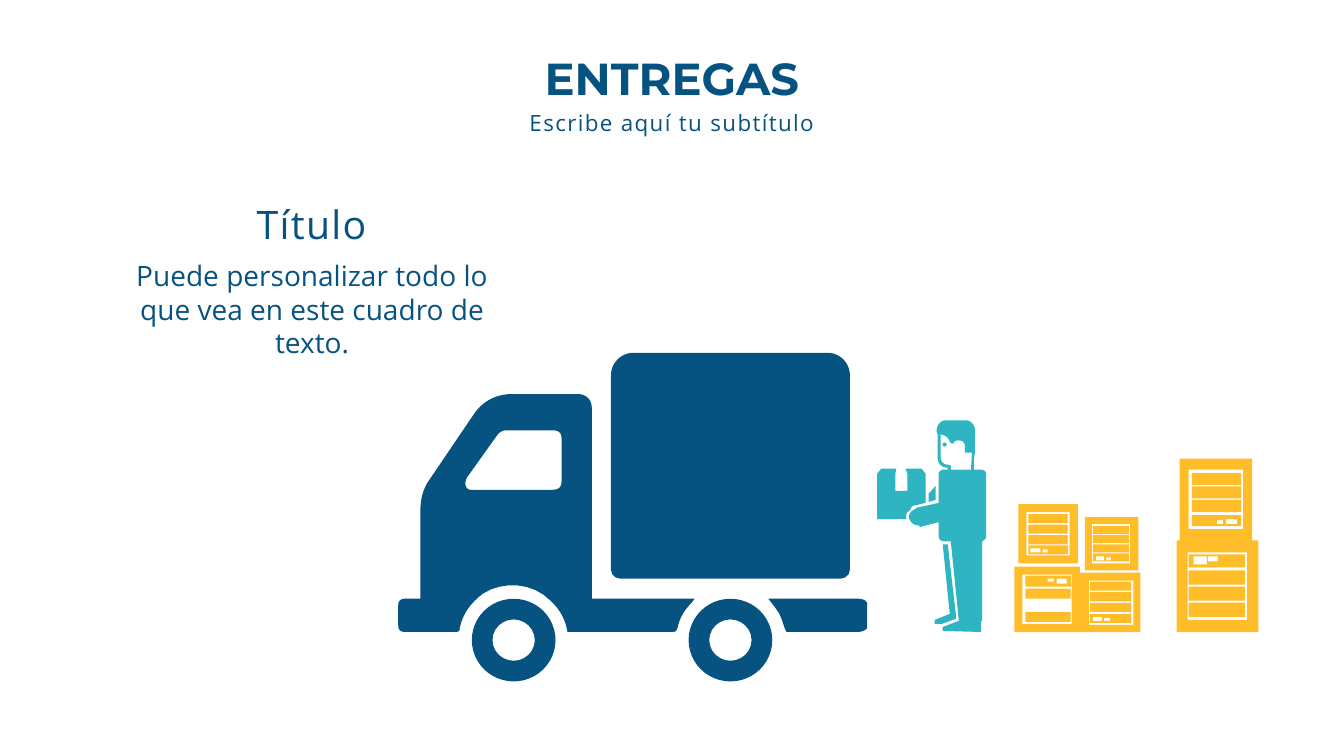
import pptx
import pptx.util
import pptx.dml.color
import pptx.enum.shapes
import pptx.enum.text

Inches = pptx.util.Inches
Preset = pptx.enum.shapes.MSO_SHAPE
Anchor = pptx.enum.text.MSO_ANCHOR
AutoSize = pptx.enum.text.MSO_AUTO_SIZE

COLORS = {"navy": "065280", "teal": "2EB5C1", "amber": "FFBD29"}


def box(left, top, right, bottom):
    """Corners of a rectangular contour."""
    return [(left, top), (right, top), (right, bottom), (left, bottom)]


def curve(text, pieces=8):
    """Contour from steps split by ';': one point is a line, three a Bézier curve."""
    points = []
    for step in text.split(";"):
        step = [tuple(map(float, pair.split(","))) for pair in step.split()]
        if len(step) == 1:
            points += step
            continue
        bezier = [points[-1]] + step
        for index in range(1, pieces + 1):
            t = index / pieces
            weights = ((1 - t) ** 3, 3 * t * (1 - t) ** 2, 3 * t ** 2 * (1 - t), t ** 3)
            points.append(tuple(sum(w * p[axis] for w, p in zip(weights, bezier))
                                for axis in (0, 1)))
    return points


class DeliverySlide:
    def __init__(self, presentation):
        self.slide = presentation.slides.add_slide(presentation.slide_layouts[5])
        self.shapes = self.slide.shapes

    def start_group(self, color):
        self.shapes = self.slide.shapes.add_group_shape().shapes
        self.color = color

    def paint(self, shape):
        shape.shadow.inherit = False
        shape.fill.solid()
        shape.fill.fore_color.rgb = pptx.dml.color.RGBColor.from_string(COLORS[self.color])
        shape.line.fill.background()

    def preset(self, kind, left, top, width, height, adjustments=()):
        shape = self.shapes.add_shape(kind, Inches(left), Inches(top),
                                      Inches(width), Inches(height))
        for index, value in enumerate(adjustments):
            shape.adjustments[index] = value
        self.paint(shape)

    def outline(self, *contours):
        """Filled outline; every contour after the first cuts a hole."""
        contours = [[(Inches(x), Inches(y)) for x, y in contour] for contour in contours]
        builder = self.shapes.build_freeform(*contours[0][0], scale=1.0)
        for index, contour in enumerate(contours):
            if index:
                builder.move_to(*contour[0])
            builder.add_line_segments(contour[1:], close=True)
        self.paint(builder.convert_to_shape())

    def slats(self, left, first, last, width, height, count):
        step = (last - first) / (count - 1)
        for index in range(count):
            self.preset(Preset.RECTANGLE, left, first + index * step, width, height)

    def set_text(self, shape, text, size, font="Open Sans", bold=False, spacing=0):
        frame = shape.text_frame
        frame.word_wrap = True
        frame.text = text
        paragraph = frame.paragraphs[0]
        paragraph.alignment = pptx.enum.text.PP_ALIGN.CENTER
        run = paragraph.runs[0]
        run.font.name, run.font.size, run.font.bold = font, pptx.util.Pt(size), bold
        run.font.color.rgb = pptx.dml.color.RGBColor.from_string(COLORS["navy"])
        if spacing:
            run._r.get_or_add_rPr().set("spc", str(spacing * 100))
        return frame

    def title(self, text, left, top, width, height):
        shape = self.slide.shapes.title
        shape.left, shape.top = Inches(left), Inches(top)
        shape.width, shape.height = Inches(width), Inches(height)
        frame = self.set_text(shape, text, 32, "Montserrat", bold=True)
        frame.auto_size = AutoSize.NONE
        frame.vertical_anchor = Anchor.TOP
        frame.margin_left = frame.margin_right = frame.margin_top = frame.margin_bottom = 0

    def label(self, text, left, top, width, height, size, spacing=0):
        shape = self.slide.shapes.add_textbox(Inches(left), Inches(top),
                                              Inches(width), Inches(height))
        frame = self.set_text(shape, text, size, spacing=spacing)
        frame.auto_size = AutoSize.SHAPE_TO_FIT_TEXT
        frame.vertical_anchor = Anchor.MIDDLE


def draw_truck(page):
    page.start_group("navy")
    # Rear bed and cargo box
    page.outline(curve(
        "8.6,5.98; 8.58,5.95 8.55,5.94 8.51,5.94; 7.62,5.94; 7.66,5.99 7.7,6.04 7.73,6.09;"
        "7.76,6.15 7.77,6.21 7.8,6.27; 8.5,6.27; 8.54,6.27 8.58,6.26 8.6,6.23"))
    page.preset(Preset.ROUND_2_SAME_RECTANGLE, 6.06, 3.5, 2.37, 2.24, (0.1, 0.04))
    # Cab with its window
    cab = curve(
        "4.17,5.94; 4.03,5.94; 3.97,5.94 3.95,5.96 3.95,6.01; 3.95,6.2;"
        "3.95,6.25 3.97,6.27 4.02,6.27; 4.52,6.27; 4.56,6.27 4.56,6.25 4.56,6.23;"
        "4.59,6.09 4.67,5.98 4.79,5.89; 4.99,5.76 5.29,5.78 5.46,5.96;"
        "5.54,6.03 5.6,6.13 5.62,6.23; 5.63,6.27; 6.67,6.27; 6.7,6.27 6.71,6.26 6.72,6.23;"
        "6.74,6.13 6.79,6.05 6.86,5.98; 6.89,5.94; 5.87,5.94; 5.87,4.05;"
        "5.87,3.96 5.81,3.91 5.73,3.91; 5.05,3.91; 4.9,3.92 4.78,3.99 4.7,4.11; 4.26,4.76;"
        "4.2,4.84 4.17,4.95 4.17,5.06")
    window = curve(
        "5.08,4.86; 4.69,4.86; 4.66,4.86 4.63,4.86 4.62,4.82; 4.61,4.8 4.62,4.76 4.63,4.74;"
        "4.93,4.32; 4.95,4.29 4.98,4.27 5.02,4.27; 5.48,4.27; 5.54,4.27 5.57,4.29 5.57,4.35;"
        "5.57,4.77; 5.57,4.84 5.54,4.86 5.47,4.86")
    page.outline(cab, window)
    # Wheels
    for left in (6.83, 4.68):
        page.preset(Preset.DONUT, left, 5.94, 0.83, 0.82, (0.25,))


def draw_courier(page):
    page.start_group("teal")
    # Far leg and far arm
    page.outline(curve("9.48,6.09; 9.4,5.4; 9.35,5.4; 9.42,6.09; 9.27,6.15; 9.27,6.19;"
                       "9.34,6.19; 9.48,6.14"))
    page.outline(curve("9.28,4.82; 9.22,4.89; 9.21,4.89; 9.21,4.98; 9.28,4.96"))
    # Body with the face cut out
    body = curve(
        "9.78,4.7; 9.78,5.32; 9.78,5.35 9.76,5.36 9.74,5.37; 9.74,6.16; 9.73,6.16; 9.73,6.27;"
        "9.35,6.26; 9.35,6.22; 9.51,6.16; 9.43,5.37; 9.36,5.37; 9.33,5.37 9.31,5.35 9.31,5.32;"
        "9.31,5.18; 9.12,5.23; 9.12,5.21; 9.09,5.22 9.05,5.2 9.03,5.17;"
        "9,5.13 9.02,5.08 9.06,5.06; 9.06,5.06 9.07,5.05 9.09,5.05; 9.08,5.04; 9.31,4.99;"
        "9.31,4.7; 9.31,4.68 9.33,4.66 9.36,4.66; 9.4,4.66; 9.4,4.64;"
        "9.34,4.64 9.3,4.6 9.3,4.54; 9.3,4.31; 9.29,4.29 9.29,4.28 9.29,4.27;"
        "9.29,4.22 9.33,4.17 9.38,4.17; 9.58,4.17; 9.63,4.17 9.67,4.22 9.67,4.27; 9.67,4.49;"
        "9.66,4.54; 9.66,4.66; 9.73,4.66; 9.76,4.66 9.78,4.68 9.78,4.7")
    face = curve(
        "9.43,4.62; 9.43,4.66; 9.61,4.66; 9.62,4.66 9.63,4.66 9.63,4.67; 9.64,4.49; 9.57,4.49;"
        "9.57,4.43; 9.57,4.39 9.55,4.37 9.51,4.37; 9.49,4.37 9.46,4.37 9.46,4.4; 9.43,4.4;"
        "9.41,4.36; 9.4,4.34 9.38,4.32 9.33,4.31; 9.33,4.54; 9.33,4.58 9.36,4.61 9.4,4.61")
    page.outline(body, face)
    # Carried parcel and eye
    page.outline(curve(
        "9,5.08; 9.02,5.07 9.03,5.06 9.04,5.03; 9.05,5.03; 9.05,5.02; 9.18,4.99; 9.18,4.7;"
        "9.14,4.65; 8.98,4.65; 9,4.7; 9,4.87; 8.88,4.87; 8.88,4.7; 8.89,4.65; 8.74,4.65;"
        "8.7,4.7; 8.7,5.15; 8.99,5.15; 8.98,5.12 8.99,5.1 9,5.08"))
    page.preset(Preset.OVAL, 9.35, 4.39, 0.04, 0.04)


def draw_crates(page, frames, slats, labels):
    page.start_group("amber")
    for stack in slats:
        page.slats(*stack)
    for contours in frames:
        page.outline(*contours)
    for plates in labels:
        page.outline(*(box(*plate) for plate in plates))


def main():
    presentation = pptx.Presentation()
    presentation.slide_width, presentation.slide_height = Inches(13.33), Inches(7.5)
    page = DeliverySlide(presentation)

    # Heading
    page.title("ENTREGAS", 3.09, 0.5, 7.15, 0.72)
    page.label("Escribe aquí tu subtítulo", 4.16, 1.03, 5.01, 0.37, 16, spacing=1)

    # Illustration
    draw_truck(page)
    draw_courier(page)
    draw_crates(
        page,
        frames=[
            [box(10.1, 5, 10.69, 5.59), box(10.18, 5.08, 10.61, 5.51)],
            [box(10.76, 5.13, 11.29, 5.66), box(10.83, 5.2, 11.21, 5.59)],
            [curve("10.06,5.62; 10.71,5.62; 10.71,5.68; 11.31,5.68; 11.31,6.27; 10.06,6.27"),
             box(10.8, 5.76, 11.24, 6.2), box(10.14, 5.7, 10.63, 6.19)]],
        slats=[(10.17, 5.84, 6.07, 0.45, 0.1, 2), (10.2, 5.1, 5.31, 0.39, 0.09, 3),
               (10.81, 5.77, 5.98, 0.41, 0.09, 3), (10.84, 5.22, 5.4, 0.36, 0.08, 3)],
        labels=[
            [(10.2, 5.41, 10.59, 5.5), (10.34, 5.45, 10.39, 5.48), (10.22, 5.44, 10.32, 5.48)],
            [(10.84, 5.49, 11.2, 5.57), (10.87, 5.52, 10.95, 5.56), (10.97, 5.53, 11.02, 5.56)],
            [(10.17, 5.71, 10.62, 5.82), (10.48, 5.74, 10.58, 5.79), (10.39, 5.74, 10.45, 5.77)],
            [(10.81, 6.09, 11.22, 6.18), (10.95, 6.13, 11.01, 6.16), (10.84, 6.12, 10.93, 6.16)]])
    draw_crates(
        page,
        frames=[[curve("12.48,5.36; 12.42,5.36; 12.42,4.55; 11.7,4.55; 11.7,5.36; 11.67,5.36;"
                       "11.67,6.27; 12.48,6.27"),
                 box(11.79, 4.66, 12.33, 5.25), box(11.78, 5.48, 12.37, 6.15)]],
        slats=[(11.82, 4.69, 4.96, 0.49, 0.12, 3), (11.79, 5.66, 5.98, 0.56, 0.14, 3)],
        labels=[
            [(11.79, 5.5, 12.35, 5.63), (11.84, 5.52, 11.97, 5.6), (11.98, 5.52, 12.08, 5.57)],
            [(11.82, 5.11, 12.31, 5.22), (12.16, 5.15, 12.27, 5.2), (12.07, 5.16, 12.13, 5.2)]])

    # Side text
    page.label("Puede personalizar todo lo que vea en este cuadro de texto.",
               1.15, 2.51, 3.89, 1.11, 20)
    page.label("Título", 0.89, 1.94, 4.4, 0.57, 28, spacing=1)

    presentation.save("out.pptx")


if __name__ == "__main__":
    main()
